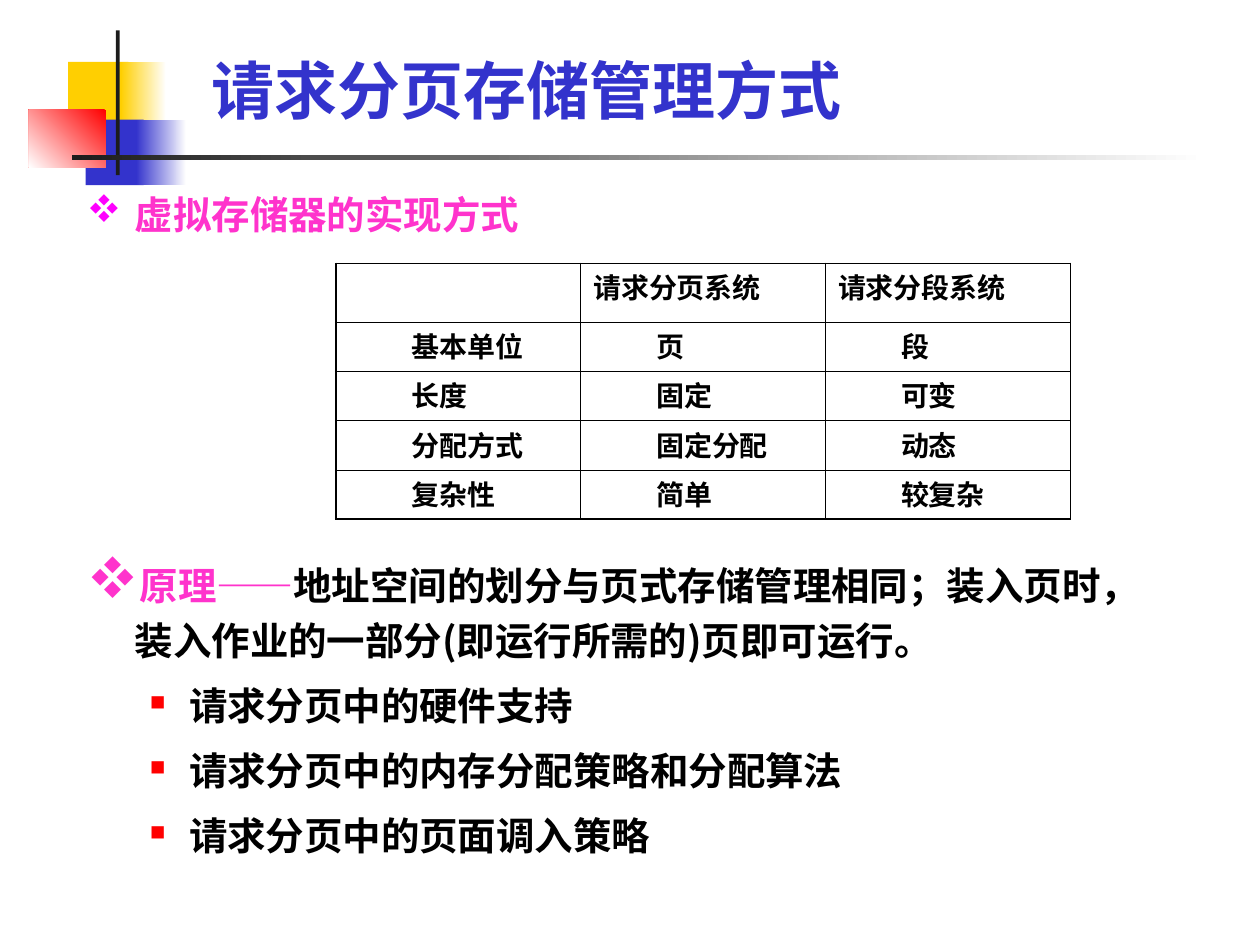
import pptx
import pptx.dml.color
import pptx.enum.shapes
import pptx.enum.text
import pptx.oxml
import pptx.oxml.ns
import pptx.util
from pptx.dml.color import RGBColor
from pptx.util import Inches

FONT = "Noto Sans CJK SC"
BULLET_FONT = "Wingdings"
DIAMONDS = "v"  # four diamonds in the bullet font
SQUARE = "n"  # filled square in the bullet font
BLACK = RGBColor(0x00, 0x00, 0x00)
WHITE = RGBColor(0xFF, 0xFF, 0xFF)
YELLOW = RGBColor(0xFF, 0xCF, 0x01)
BLUE = RGBColor(0x33, 0x33, 0xCC)
RED = RGBColor(0xFF, 0x00, 0x00)
CHARCOAL = RGBColor(0x1C, 0x1C, 0x1C)
PINK = RGBColor(0xFF, 0x33, 0xCC)
MAGENTA = RGBColor(0xFF, 0x00, 0xFF)

OUTER_LINE = 1.08
INNER_LINE = 0.45
TABLE_ROWS = [
    ["", "请求分页系统", "请求分段系统"],
    ["基本单位", "页", "段"],
    ["长度", "固定", "可变"],
    ["分配方式", "固定分配", "动态"],
    ["复杂性", "简单", "较复杂"],
]
SUBTOPICS = [
    "请求分页中的硬件支持",
    "请求分页中的内存分配策略和分配算法",
    "请求分页中的页面调入策略",
]


def add_xml(parent, tag, **attributes):
    """Append one DrawingML element and return it."""
    element = pptx.oxml.parse_xml(f"<a:{tag} {pptx.oxml.ns.nsdecls('a')}/>")
    for name, value in attributes.items():
        element.set(name, str(value))
    parent.append(element)
    return element


def add_text(paragraph, text, size=22, color=BLACK):
    """Add a bold run to a paragraph."""
    run = paragraph.add_run()
    run.text = text
    run.font.size = pptx.util.Pt(size)
    run.font.bold = True
    run.font.name = FONT
    run.font.color.rgb = color
    add_xml(run._r.get_or_add_rPr(), "ea", typeface=FONT)


def format_paragraph(paragraph, left=0, hanging=0, level=0, before=0, spacing=1.2,
                     bullet=None, bullet_color=BLACK, bullet_size=100):
    """Set indents, spacing and bullet of a paragraph."""
    paragraph.level = level
    paragraph.alignment = pptx.enum.text.PP_ALIGN.LEFT
    paragraph.line_spacing = spacing
    paragraph.space_before = pptx.util.Pt(before)
    properties = paragraph._p.get_or_add_pPr()
    properties.set("marL", str(Inches(left)))
    properties.set("indent", str(Inches(-hanging)))
    if bullet is None:
        add_xml(properties, "buNone")
        return
    add_xml(add_xml(properties, "buClr"), "srgbClr", val=bullet_color)
    add_xml(properties, "buSzPct", val=bullet_size * 1000)
    add_xml(properties, "buFont", typeface=BULLET_FONT, pitchFamily=2, charset=2)
    add_xml(properties, "buChar", char=bullet)


def place(shape, left, top, width, height):
    shape.left, shape.top = Inches(left), Inches(top)
    shape.width, shape.height = Inches(width), Inches(height)


def add_block(slide, left, top, width, height, color, end_color=None, angle=180):
    """Add a rectangle, solid or fading from color to end_color."""
    shape = slide.shapes.add_shape(
        pptx.enum.shapes.MSO_SHAPE.RECTANGLE,
        Inches(left), Inches(top), Inches(width), Inches(height))
    shape.shadow.inherit = False
    shape.line.fill.background()
    if end_color is None:
        shape.fill.solid()
        shape.fill.fore_color.rgb = color
        return
    shape.fill.gradient()
    shape.fill.gradient_angle = angle
    for stop, stop_color in zip(shape.fill.gradient_stops, (color, end_color)):
        stop.color.rgb = stop_color


def add_decoration(slide):
    add_block(slide, 0.54, 0.49, 0.48, 0.52, YELLOW)
    add_block(slide, 0.96, 0.49, 0.36, 0.52, WHITE, YELLOW)
    add_block(slide, 0.68, 0.95, 0.46, 0.52, BLUE)
    add_block(slide, 1.08, 0.95, 0.4, 0.52, WHITE, BLUE)
    add_block(slide, 0.23, 0.87, 0.61, 0.46, RED, WHITE, angle=225)
    add_block(slide, 0.92, 0.24, 0.03, 1.15, CHARCOAL)
    add_block(slide, 0.57, 1.23, 9, 0.04, WHITE, CHARCOAL)


def fill_title(slide):
    title = slide.shapes.title
    place(title, 1.58, 0.36, 7.59, 0.7)
    frame = title.text_frame
    frame.auto_size = pptx.enum.text.MSO_AUTO_SIZE.NONE
    frame.vertical_anchor = pptx.enum.text.MSO_ANCHOR.BOTTOM
    format_paragraph(frame.paragraphs[0], spacing=1.0)
    add_text(frame.paragraphs[0], "请求分页存储管理方式", size=36, color=BLUE)


def fill_body(slide):
    body = slide.placeholders[1]
    place(body, 0.59, 1.39, 8.74, 5.61)
    frame = body.text_frame
    frame.auto_size = pptx.enum.text.MSO_AUTO_SIZE.NONE

    heading = frame.paragraphs[0]
    format_paragraph(heading, left=0.38, hanging=0.38,
                     bullet=DIAMONDS, bullet_color=MAGENTA)
    add_text(heading, "虚拟存储器的实现方式", color=PINK)

    # The space before leaves room for the table
    principle = frame.add_paragraph()
    format_paragraph(principle, left=0.38, hanging=0.38, before=180.5,
                     bullet=DIAMONDS, bullet_color=PINK, bullet_size=150)
    add_text(principle, "原理——", color=PINK)
    add_text(principle, "地址空间的划分与页式存储管理相同；装入页时，"
                        "装入作业的一部分(即运行所需的)页即可运行。")

    for subtopic in SUBTOPICS:
        paragraph = frame.add_paragraph()
        format_paragraph(paragraph, left=0.81, hanging=0.31, level=1, before=5.5,
                         bullet=SQUARE, bullet_color=RED, bullet_size=55)
        add_text(paragraph, subtopic)


def set_borders(cell, widths):
    """Draw the sides of a cell; widths maps L, R, T, B to points."""
    properties = cell._tc.get_or_add_tcPr()
    for side, width in widths.items():
        line = add_xml(properties, f"ln{side}", w=pptx.util.Pt(width))
        add_xml(add_xml(line, "solidFill"), "srgbClr", val=BLACK)


def add_comparison_table(slide):
    row_count, column_count = len(TABLE_ROWS), len(TABLE_ROWS[0])
    table = slide.shapes.add_table(
        row_count, column_count,
        Inches(2.665), Inches(2.09), Inches(5.83), Inches(2.03)).table
    table.first_row = False
    table.horz_banding = False
    for row_index, texts in enumerate(TABLE_ROWS):
        is_header = row_index == 0
        table.rows[row_index].height = Inches(0.47 if is_header else 0.39)
        for column_index, text in enumerate(texts):
            cell = table.cell(row_index, column_index)
            outer_sides = {"L": column_index == 0, "R": column_index == column_count - 1,
                           "T": is_header, "B": row_index == row_count - 1}
            set_borders(cell, {side: OUTER_LINE if outer else INNER_LINE
                               for side, outer in outer_sides.items()})
            cell.fill.background()
            if text:
                paragraph = cell.text_frame.paragraphs[0]
                format_paragraph(paragraph, left=0 if is_header else 0.5,
                                 level=0 if is_header else 1, spacing=0.9)
                add_text(paragraph, text, size=16)


def main():
    presentation = pptx.Presentation()
    presentation.slide_width = Inches(10)
    presentation.slide_height = Inches(7.5)
    slide = presentation.slides.add_slide(presentation.slide_layouts[1])
    add_decoration(slide)
    fill_title(slide)
    fill_body(slide)
    add_comparison_table(slide)
    presentation.save("out.pptx")


if __name__ == "__main__":
    main()
